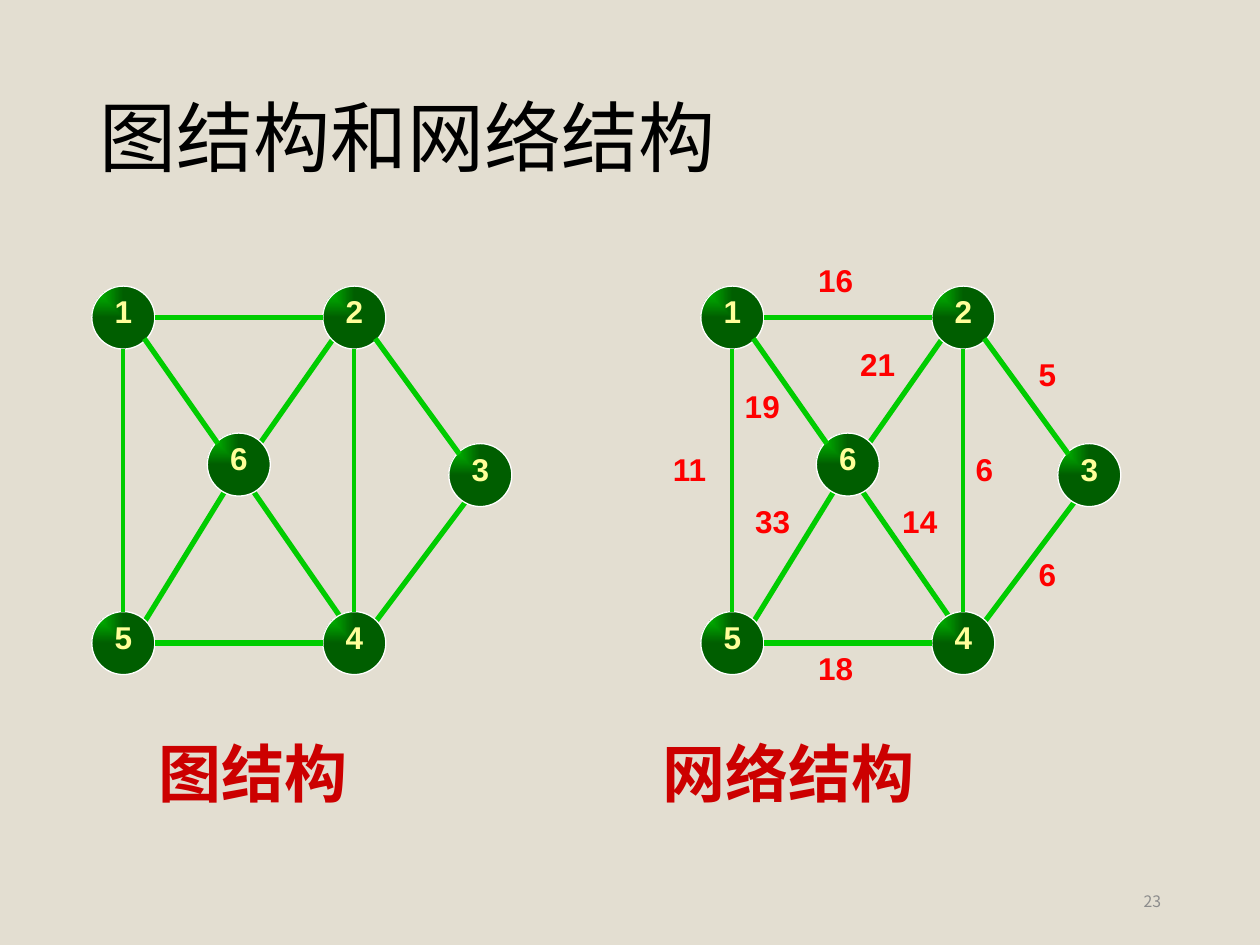
import pptx
import pptx.dml.color
import pptx.enum.shapes
import pptx.enum.text
import pptx.oxml.ns
import pptx.util
from lxml import etree

Pt = pptx.util.Pt
qn = pptx.oxml.ns.qn
ANCHOR = pptx.enum.text.MSO_ANCHOR
ALIGN = pptx.enum.text.PP_ALIGN
AUTO_SIZE = pptx.enum.text.MSO_AUTO_SIZE


def color(hex_string):
    return pptx.dml.color.RGBColor.from_string(hex_string)


class GraphSlide:
    LATIN, CHINESE = "Arial", "Noto Sans CJK SC"
    EDGE, NODE_DARK, NODE_LINE = "00CC00", "005E00", "FFFFFF"
    RADIUS = 18
    STEP = RADIUS / 3  # grid on which edge ends meet the nodes

    def __init__(self, deck, background):
        self.page = deck.slides.add_slide(deck.slide_layouts[5])
        self.page.background.fill.solid()
        self.page.background.fill.fore_color.rgb = color(background)

    def style(self, para, font, size, hex_string, bold=False):
        for span in para.runs:
            span.font.name = font
            span.font.size = Pt(size)
            span.font.bold = bold
            span.font.color.rgb = color(hex_string)
            east_asian = etree.SubElement(span.font._element, qn("a:ea"))
            east_asian.set("typeface", font)

    def title(self, text, left, top, width, height):
        box = self.page.shapes.title
        box.left, box.top, box.width, box.height = map(Pt, (left, top, width, height))
        frame = box.text_frame
        frame.text = text
        frame.auto_size = AUTO_SIZE.NONE
        frame.vertical_anchor = ANCHOR.MIDDLE
        para = frame.paragraphs[0]
        para.alignment = ALIGN.LEFT
        para.line_spacing = 0.9
        self.style(para, self.CHINESE, 44, "000000")

    def text_box(self, text, left, top, width, height):
        box = self.page.shapes.add_textbox(*map(Pt, (left, top, width, height)))
        box.text_frame.text = text
        box.text_frame.word_wrap = True
        return box.text_frame

    def number(self, text, left, top, hex_string):
        frame = self.text_box(text, left, top, 28 if len(text) == 1 else 41, 36)
        frame.word_wrap = False
        frame.auto_size = AUTO_SIZE.SHAPE_TO_FIT_TEXT
        self.style(frame.paragraphs[0], self.LATIN, 18, hex_string, bold=True)

    def captions(self, texts, left, top, width, height, tab):
        frame = self.text_box("\t".join(texts), left, top, width, height)
        frame.margin_left = frame.margin_right = Pt(8.64)
        frame.margin_top = frame.margin_bottom = Pt(4.32)
        frame.auto_size = AUTO_SIZE.SHAPE_TO_FIT_TEXT
        para = frame.paragraphs[0]
        tabs = etree.SubElement(para._p.get_or_add_pPr(), qn("a:tabLst"))
        etree.SubElement(tabs, qn("a:tab"), pos=str(Pt(tab)), algn="l")
        self.style(para, self.CHINESE, 36, "CC0000", bold=True)

    def page_number(self, text, left, top, width, height):
        frame = self.text_box(text, left, top, width, height)
        frame.vertical_anchor = ANCHOR.MIDDLE
        frame.paragraphs[0].alignment = ALIGN.RIGHT
        self.style(frame.paragraphs[0], self.CHINESE, 9, "8C8C8C")

    def node(self, x, y):
        size = 2 * self.RADIUS
        circle = self.page.shapes.add_shape(
            pptx.enum.shapes.MSO_SHAPE.OVAL,
            Pt(x - self.RADIUS), Pt(y - self.RADIUS), Pt(size), Pt(size))
        circle.shadow.inherit = False
        circle.line.color.rgb = color(self.NODE_LINE)
        circle.line.width = Pt(0.75)
        circle.fill.gradient()
        for stop, position, shade in zip(
                circle.fill.gradient_stops, (0, 1), (self.EDGE, self.NODE_DARK)):
            stop.position = position
            stop.color.rgb = color(shade)
        # Let the gradient spread from the top left corner
        gradient = circle._element.spPr.find(qn("a:gradFill"))
        gradient.remove(gradient.find(qn("a:lin")))
        spread = etree.SubElement(gradient, qn("a:path"))
        spread.set("path", "rect")
        etree.SubElement(spread, qn("a:fillToRect"), r="100000", b="100000")

    def edge(self, start, start_steps, end, end_steps):
        x1, y1 = (c + s * self.STEP for c, s in zip(start, start_steps))
        x2, y2 = (c + s * self.STEP for c, s in zip(end, end_steps))
        line = self.page.shapes.add_connector(
            pptx.enum.shapes.MSO_CONNECTOR.STRAIGHT, Pt(x1), Pt(y1), Pt(x2), Pt(y2))
        line.line.color.rgb = color(self.EDGE)
        line.line.width = Pt(2.25 if x1 == x2 else 3)
        etree.SubElement(line._element.spPr, qn("a:effectLst"))

    def graph(self, x, y, nodes, back_edges, front_edges):
        centers = {name: (x + dx, y + dy) for name, (dx, dy) in nodes.items()}

        def draw(edges):
            for start, start_steps, end, end_steps in edges:
                self.edge(centers[start], start_steps, centers[end], end_steps)

        draw(back_edges)
        for center in centers.values():
            self.node(*center)
        draw(front_edges)
        for name, (cx, cy) in centers.items():
            self.number(name, cx - 12, cy - self.RADIUS, "FFFF99")


# Node centres relative to node 1
NODES = {"1": (0, 0), "2": (132, 0), "5": (0, 186), "4": (132, 186),
         "6": (66, 84), "3": (204, 90)}
# Each edge: node, steps from its centre, node, steps from its centre
BACK_EDGES = [
    ("2", (-2, 2), "6", (2, -2)),
    ("3", (-1, 2), "4", (2, -2)),
    ("6", (-1, 2), "5", (2, -2)),
    ("6", (1, 2), "4", (-1, -2)),
]
FRONT_EDGES = [
    ("1", (0, 3), "5", (0, -3)),
    ("5", (3, 0), "4", (-3, 0)),
    ("1", (3, 0), "2", (-3, 0)),
    ("2", (2, 2), "3", (-2, -2)),
    ("1", (2, 2), "6", (-2, -2)),
    ("2", (0, 3), "4", (0, -3)),
]
# Weight labels: top left corner relative to node 1
WEIGHTS = [
    ("11", -41, 72), ("33", 6, 102), ("18", 42, 186), ("14", 90, 102),
    ("6", 132, 72), ("6", 168, 132), ("5", 168, 18), ("16", 42, -36),
    ("19", 0, 36), ("21", 66, 12),
]


def main():
    deck = pptx.Presentation()
    deck.slide_width, deck.slide_height = Pt(720), Pt(540)
    slide = GraphSlide(deck, "E3DED1")
    slide.title("图结构和网络结构", 49.5, 28.75, 621, 104.4)

    # Plain graph on the left, weighted network on the right
    left, right, top = 70.5, 418.5, 181.5
    for x in (left, right):
        slide.graph(x, top, NODES, BACK_EDGES, FRONT_EDGES)
    for weight, dx, dy in WEIGHTS:
        slide.number(weight, right + dx, top + dy, "FF0000")

    # Captions and page number
    slide.captions(("图结构", "网络结构"), 82, 415.5, 534, 52.5, tab=288)
    slide.page_number("23", 508.5, 500.5, 162, 28.75)
    deck.save("out.pptx")


if __name__ == "__main__":
    main()
